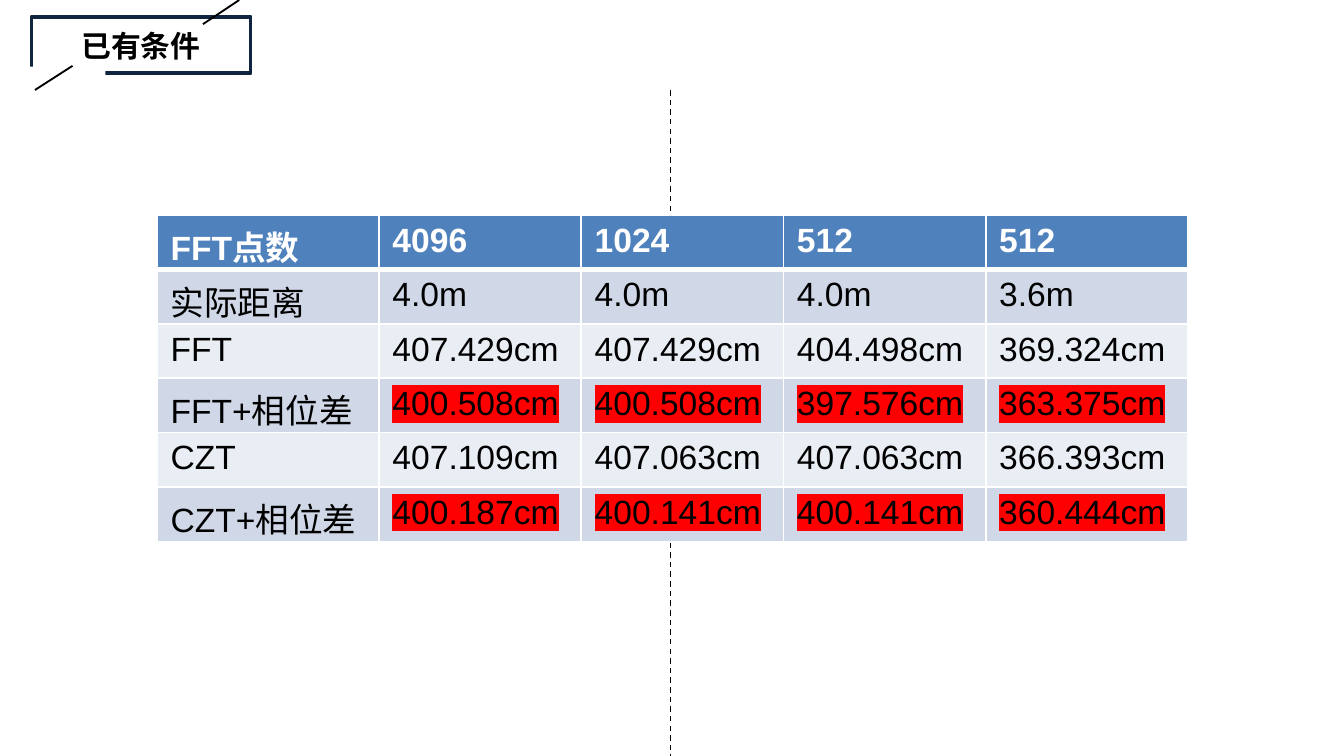
from dataclasses import dataclass
from typing import Any, Optional

from lxml.etree import SubElement
from pptx import Presentation
from pptx.dml.color import RGBColor
from pptx.enum.dml import MSO_LINE
from pptx.enum.shapes import MSO_CONNECTOR, MSO_SHAPE
from pptx.enum.text import MSO_AUTO_SIZE, PP_ALIGN
from pptx.oxml.ns import qn
from pptx.util import Inches, Pt

SLIDE_WIDTH = 10
SLIDE_HEIGHT = SLIDE_WIDTH * 9 / 16
TABLE_WIDTH, LABEL_WIDTH = 7.67, 1.65
BLACK, WHITE, NAVY, RED = "000000", "FFFFFF", "0F243E", "FF0000"
HEADER_FILL, BAND_FILLS = "4F81BD", ("D0D8E8", "E9EDF4")
TITLE_FONT = {"name": "Arial", "size": Pt(16), "bold": True}
HEADER_FONT = {"name": "Arial", "size": Pt(18), "bold": True}
BODY_FONT = {**HEADER_FONT, "bold": False}
HIGHLIGHTED_ROWS = (3, 5)
ROWS = (
    ("FFT点数", "4096", "1024", "512", "512"),
    ("实际距离", "4.0m", "4.0m", "4.0m", "3.6m"),
    ("FFT", "407.429cm", "407.429cm", "404.498cm", "369.324cm"),
    ("FFT+相位差", "400.508cm", "400.508cm", "397.576cm", "363.375cm"),
    ("CZT", "407.109cm", "407.063cm", "407.063cm", "366.393cm"),
    ("CZT+相位差", "400.187cm", "400.141cm", "400.141cm", "360.444cm"),
)


@dataclass
class Box:
    """A quarter-turned rectangle, measured before turning."""
    left: float
    top: float
    width: float
    height: float
    fill: Optional[str] = None
    line: Optional[str] = None


@dataclass
class Rule:
    """A straight line between two points."""
    x1: float
    y1: float
    x2: float
    y2: float
    weight: float = 1
    dash: Optional[MSO_LINE] = None


TITLE_BOXES = (
    Box(0.84, -0.48, 0.42, 1.63, line=NAVY),
    Box(0.35, 0.14, 0.08, 0.79, fill=WHITE),
)
TITLE_RULES = (Rule(1.78, 0, 1.51, 0.18), Rule(0.54, 0.49, 0.26, 0.67))
CENTRE_RULE = Rule(4.99, 0.67, 4.99, SLIDE_HEIGHT, 0.75, MSO_LINE.DASH)


def paint(target: Any, color: str) -> None:
    """Give a fill a solid hex colour."""
    target.solid()
    target.fore_color.rgb = RGBColor.from_string(color)


def add_box(shapes: Any, box: Box) -> None:
    """Draw one turned rectangle."""
    s = shapes.add_shape(MSO_SHAPE.RECTANGLE, Inches(box.left), Inches(box.top),
                         Inches(box.width), Inches(box.height))
    s.rotation = 270
    s.shadow.inherit = False
    for target, color in ((s.fill, box.fill), (s.line.fill, box.line)):
        if color:
            paint(target, color)
        else:
            target.background()
    if box.line:
        s.line.width = Pt(2)


def add_rule(shapes: Any, rule: Rule) -> None:
    """Draw one black line."""
    s = shapes.add_connector(MSO_CONNECTOR.STRAIGHT, Inches(rule.x1), Inches(rule.y1),
                             Inches(rule.x2), Inches(rule.y2))
    paint(s.line.fill, BLACK)
    s.line.width = Pt(rule.weight)
    if rule.dash:
        s.line.dash_style = rule.dash
    SubElement(s._element.spPr, qn("a:effectLst"))


def write(tf: Any, text: str, font: dict[str, Any], color: str) -> Any:
    """Write one formatted run and return it."""
    r = tf.paragraphs[0].add_run()
    r.text = text
    for name, value in font.items():
        setattr(r.font, name, value)
    paint(r.font.fill, color)
    return r


def highlight(r: Any, color: str) -> None:
    """Put a highlight colour behind a run."""
    rPr = r._r.get_or_add_rPr()
    mark = SubElement(rPr, qn("a:highlight"))
    SubElement(mark, qn("a:srgbClr"), val=color)
    rPr.find(qn("a:solidFill")).addnext(mark)


def add_borders(cell: Any, weights: dict[str, float]) -> None:
    """Draw white borders around a cell."""
    tcPr = cell._tc.get_or_add_tcPr()
    for side, weight in weights.items():
        ln = SubElement(tcPr, qn(f"a:ln{side}"), w=str(Pt(weight)))
        fill = SubElement(ln, qn("a:solidFill"))
        SubElement(fill, qn("a:srgbClr"), val=WHITE)


def add_title(slide: Any) -> None:
    """Draw the framed heading as one group."""
    shapes = slide.shapes.add_group_shape().shapes
    for box in TITLE_BOXES:
        add_box(shapes, box)
    for rule in TITLE_RULES:
        add_rule(shapes, rule)
    tf = shapes.add_textbox(Inches(-0.05), Inches(0.16), Inches(2.2), Inches(0.37)).text_frame
    tf.word_wrap = True
    tf.auto_size = MSO_AUTO_SIZE.SHAPE_TO_FIT_TEXT
    tf.paragraphs[0].alignment = PP_ALIGN.CENTER
    write(tf, "已有条件", TITLE_FONT, BLACK)


def add_results(slide: Any) -> None:
    """Draw the table of measured distances."""
    table = slide.shapes.add_table(len(ROWS), len(ROWS[0]), Inches(1.17), Inches(1.6),
                                   Inches(TABLE_WIDTH), Inches(2.43)).table
    value_width = (TABLE_WIDTH - LABEL_WIDTH) / (len(ROWS[0]) - 1)
    for i, column in enumerate(table.columns):
        column.width = Inches(value_width if i else LABEL_WIDTH)
    for i, values in enumerate(ROWS):
        weights = {"L": 1, "R": 1, "T": 3 if i == 1 else 1, "B": 1 if i else 3}
        for j, text in enumerate(values):
            cell = table.cell(i, j)
            add_borders(cell, weights)
            paint(cell.fill, BAND_FILLS[(i - 1) % 2] if i else HEADER_FILL)
            r = write(cell.text_frame, text, BODY_FONT if i else HEADER_FONT,
                      BLACK if i else WHITE)
            if i in HIGHLIGHTED_ROWS and j:
                highlight(r, RED)


def main() -> None:
    """Build and save the slide."""
    prs = Presentation()
    prs.slide_width, prs.slide_height = Inches(SLIDE_WIDTH), Inches(SLIDE_HEIGHT)
    slide = prs.slides.add_slide(prs.slide_layouts[6])
    add_title(slide)
    add_rule(slide.shapes, CENTRE_RULE)
    add_results(slide)
    prs.save("out.pptx")


if __name__ == "__main__":
    main()
